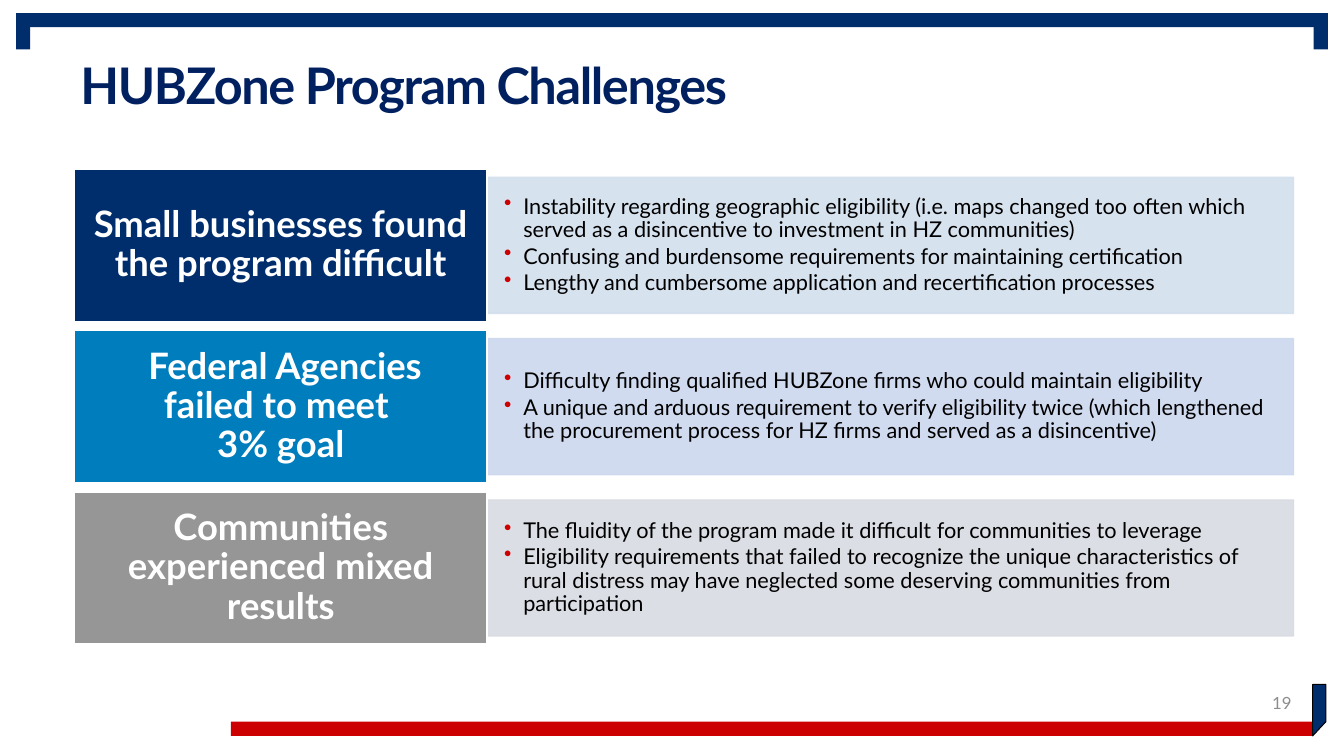
from lxml import etree
from pptx import Presentation
from pptx.dml.color import RGBColor
from pptx.enum.shapes import MSO_SHAPE
from pptx.enum.text import MSO_ANCHOR, PP_ALIGN
from pptx.oxml.ns import qn
from pptx.util import Inches, Pt

RECT = MSO_SHAPE.RECTANGLE
MIDDLE = MSO_ANCHOR.MIDDLE
LEFT, CENTER, RIGHT = PP_ALIGN.LEFT, PP_ALIGN.CENTER, PP_ALIGN.RIGHT

TITLE = "HUBZone Program Challenges"
PAGE_NUMBER = "19"
CHALLENGES = [
    {
        "label": "Small businesses found the program difficult",
        "label_fill": "002E6D",
        "panel_fill": "D3DFEE",
        "points": [
            "Instability regarding geographic eligibility (i.e. maps changed too often which served as a disincentive to investment in HZ communities)",
            "Confusing and burdensome requirements for maintaining certification",
            "Lengthy and cumbersome application and recertification processes",
        ],
    },
    {
        "label": " Federal Agencies failed to meet \n3% goal",
        "label_fill": "007DBC",
        "panel_fill": "CDD8EF",
        "points": [
            "Difficulty finding qualified HUBZone firms who could maintain eligibility",
            "A unique and arduous requirement to verify eligibility twice (which lengthened the procurement process for HZ firms and served as a disincentive)",
        ],
    },
    {
        "label": "Communities experienced mixed results",
        "label_fill": "969696",
        "panel_fill": "D8DBE2",
        "points": [
            "The fluidity of the program made it difficult for communities to leverage",
            "Eligibility requirements that failed to recognize the unique characteristics of rural distress may have neglected some deserving communities from participation",
        ],
    },
]

THEME = {
    "font": "Lato",
    "navy": "002E6D",
    "red": "CC0000",
    "white": "FFFFFF",
    "black": "000000",
    "title": "002060",
    "number": "8D8D8E",
    "title_size": 36,
    "label_size": 26,
    "point_size": 15.5,
    "number_size": 12,
}

BRACKET = [(0.16, 0.13, 0.14, 0.36), (13.03, 0.13, 0.14, 0.36), (0.16, 0.13, 13.01, 0.14)]
FOOTER_BAR = (2.29, 7.16, 10.73, 0.14)
FOOTER_TAB = [(13.02, 6.79), (13.02, 7.3), (13.15, 7.16), (13.15, 6.79)]
TITLE_BOX = (0.7, 0.15, 11.5, 1.45)
NUMBER_BOX = (9.91, 6.77, 3, 0.4)
LABEL_LEFT, LABEL_TOP, LABEL_WIDTH, LABEL_HEIGHT = 0.74, 1.68, 4.09, 1.51
PANEL_LEFT, PANEL_WIDTH, PANEL_HEIGHT = 4.82, 8.01, 1.35
ROW_STEP = 1.6
LABEL_INSETS = (0.18, 0.13, 0.18, 0.13)
PANEL_INSETS = (0.06, 0.09, 0.12, 0.09)
PANEL_OPACITY = 90


def color(code):
    return RGBColor.from_string(code)


def paint(shape, fill, line=None, width=1):
    shape.shadow.inherit = False
    shape.fill.solid()
    shape.fill.fore_color.rgb = color(fill)
    if line:
        shape.line.color.rgb = color(line)
        shape.line.width = Pt(width)
    else:
        shape.line.fill.background()
    return shape


def add_rect(slide, box, fill, line=None):
    return paint(slide.shapes.add_shape(RECT, *map(Inches, box)), fill, line)


def set_frame(shape, insets=(0.1, 0.05, 0.1, 0.05)):
    frame = shape.text_frame
    frame.word_wrap = True
    frame.vertical_anchor = MIDDLE
    (frame.margin_left, frame.margin_top,
     frame.margin_right, frame.margin_bottom) = map(Inches, insets)
    return frame


def style(paragraph, size, ink, bold=False, align=LEFT, spacing=0.9):
    paragraph.alignment = align
    paragraph.line_spacing = spacing
    paragraph.font.name = THEME["font"]
    paragraph.font.size = Pt(size)
    paragraph.font.bold = bold
    paragraph.font.color.rgb = color(ink)


def add_bullet(paragraph):
    props = paragraph._p.get_or_add_pPr()
    props.set("marL", str(Inches(0.31)))
    props.set("indent", str(Inches(-0.19)))
    bullet_color = etree.Element(qn("a:buClr"))
    etree.SubElement(bullet_color, qn("a:srgbClr"), val=THEME["red"])
    bullet = etree.Element(qn("a:buChar"), char="•")
    defaults = props.find(qn("a:defRPr"))
    defaults.addprevious(bullet_color)
    defaults.addprevious(bullet)


def set_opacity(shape, percent):
    for code in shape._element.spPr.iter(qn("a:srgbClr")):
        etree.SubElement(code, qn("a:alpha"), val=str(percent * 1000))


def add_frame(slide):
    for box in BRACKET:
        add_rect(slide, box, THEME["navy"])
    add_rect(slide, FOOTER_BAR, THEME["red"])
    corners = [(Inches(x), Inches(y)) for x, y in FOOTER_TAB]
    builder = slide.shapes.build_freeform(*corners[0])
    builder.add_line_segments(corners[1:], close=True)
    paint(builder.convert_to_shape(), THEME["navy"], THEME["black"], 0)


def add_text(slide, box, text, size, ink, bold=False, align=LEFT, spacing=0.9):
    frame = set_frame(slide.shapes.add_textbox(*map(Inches, box)))
    paragraph = frame.paragraphs[0]
    paragraph.text = text
    style(paragraph, size, ink, bold, align, spacing)
    return paragraph


def add_challenge(slide, row, challenge):
    top = LABEL_TOP + row * ROW_STEP
    panel_top = top + (LABEL_HEIGHT - PANEL_HEIGHT) / 2
    fill = challenge["panel_fill"]
    panel = add_rect(slide, (PANEL_LEFT, panel_top, PANEL_WIDTH, PANEL_HEIGHT), fill, fill)
    set_opacity(panel, PANEL_OPACITY)
    frame = set_frame(panel, PANEL_INSETS)
    for index, point in enumerate(challenge["points"]):
        paragraph = frame.add_paragraph() if index else frame.paragraphs[0]
        paragraph.text = point
        style(paragraph, THEME["point_size"], THEME["black"])
        paragraph.space_after = Pt(0.15 * THEME["point_size"])
        add_bullet(paragraph)

    label = add_rect(slide, (LABEL_LEFT, top, LABEL_WIDTH, LABEL_HEIGHT),
                     challenge["label_fill"], THEME["white"])
    heading = set_frame(label, LABEL_INSETS).paragraphs[0]
    heading.text = challenge["label"]
    style(heading, THEME["label_size"], THEME["white"], True, CENTER)


def main():
    deck = Presentation()
    deck.slide_width, deck.slide_height = Inches(13.33), Inches(7.5)
    slide = deck.slides.add_slide(deck.slide_layouts[6])
    add_frame(slide)
    add_text(slide, NUMBER_BOX, PAGE_NUMBER, THEME["number_size"], THEME["number"],
             align=RIGHT, spacing=1.0)
    for row, challenge in enumerate(CHALLENGES):
        add_challenge(slide, row, challenge)
    title = add_text(slide, TITLE_BOX, TITLE, THEME["title_size"], THEME["title"], True)
    title.runs[0].font._element.set("spc", "-100")
    deck.save("out.pptx")


if __name__ == "__main__":
    main()
